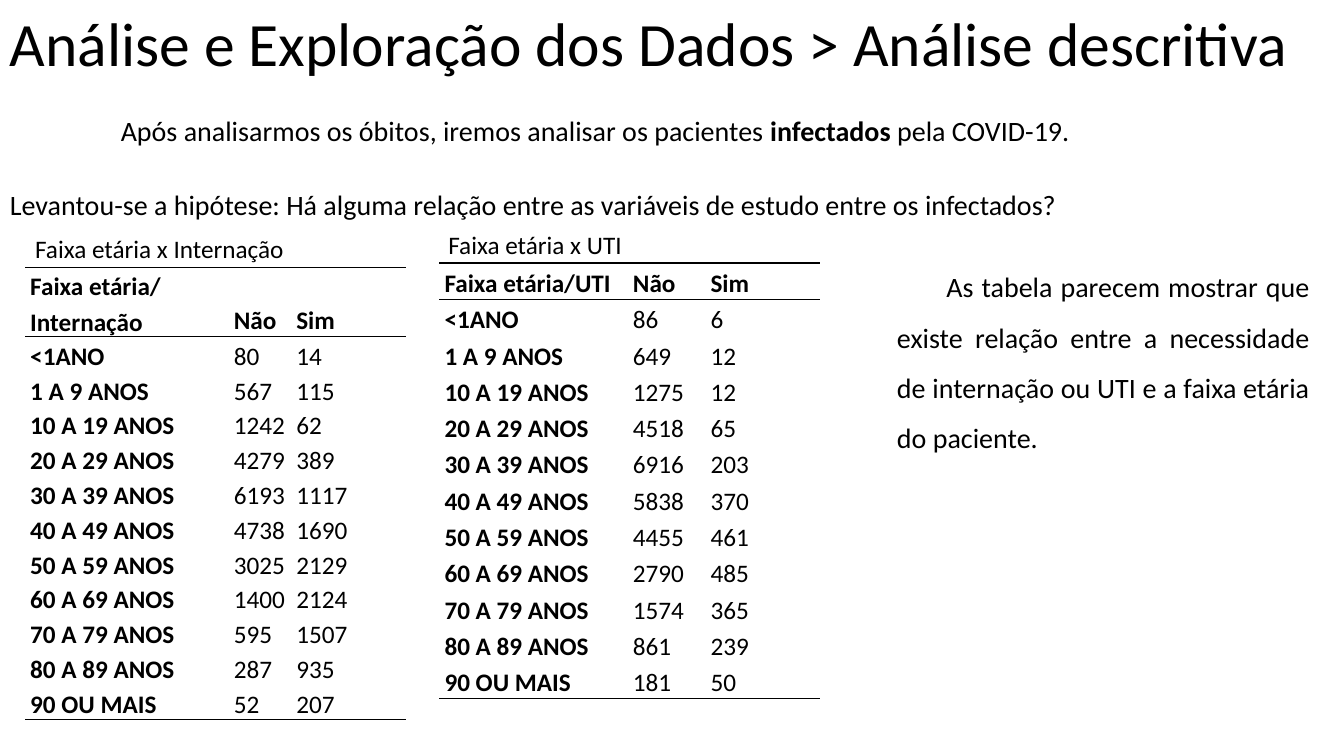
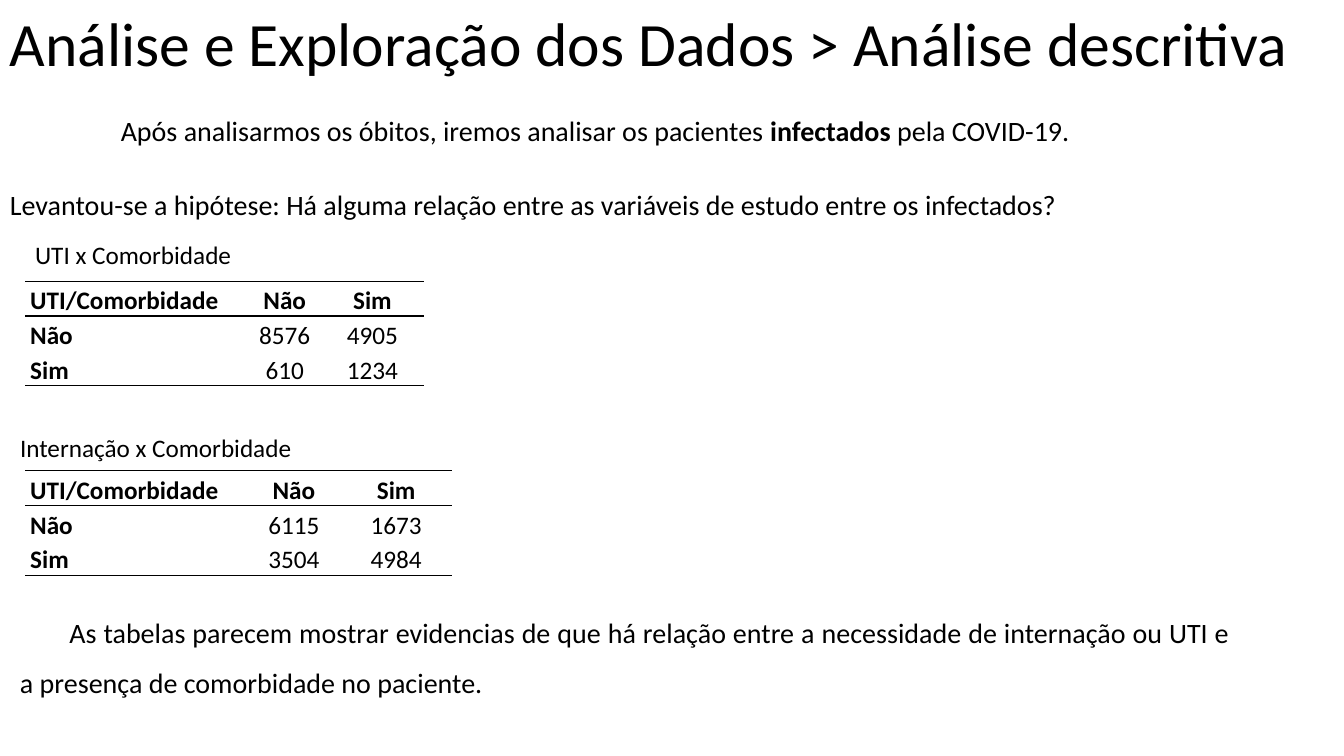
"""Two slides of cross tables on infected patients."""
from lxml.etree import SubElement as Sub
from pptx import Presentation
from pptx.dml.color import RGBColor as Color
from pptx.enum.text import MSO_ANCHOR as Anchor, PP_ALIGN as Align
from pptx.oxml.ns import qn
from pptx.util import Inches, Pt

BLACK = Color(0x00, 0x00, 0x00)
FONT = "Calibri"
GRID = Inches(0.1)
WIDE, HIGH = 133.33, 75
PLAIN = "{2D5ABB26-0587-4C30-8999-92F81FD0307C}"
AGES = ["<1ANO", *(f"{n or 1} A {n + 9} ANOS" for n in range(0, 90, 10)), "90 OU MAIS"]


def cells(count):
    return round(count * GRID)


def write(para, runs, size, align=None, lead=None, after=None, dent=0):
    para.alignment = align
    if lead:
        para.line_spacing = lead
    if after:
        para.space_after = Pt(after)
    if dent:
        para._p.get_or_add_pPr().set("indent", str(cells(dent)))
    for text, bold in runs:
        run = para.add_run()
        run.text = text
        run.font.name = FONT
        run.font.size = Pt(size)
        run.font.bold = bold
        run.font.color.rgb = BLACK


def box(slide, place, runs, size, **style):
    frame = slide.shapes.add_textbox(*map(cells, place)).text_frame
    frame.word_wrap = True
    write(frame.paragraphs[0], runs, size, **style)


def body(slide, place, text, size=20, lead=1.15, dent=0):
    box(slide, place, [(text, False)], size,
        align=Align.JUSTIFY, lead=lead, after=10, dent=dent)


def label(slide, left, top, width, text):
    body(slide, (left, top, width, 4.3), text, size=18)


def rule(cell, sides):
    props = cell._tc.get_or_add_tcPr()
    for spot, side in enumerate(sides):
        line = Sub(props, qn(f"a:ln{side}"), w=str(Pt(1)))
        fill = Sub(line, qn("a:solidFill"))
        Sub(fill, qn("a:srgbClr"), val=str(BLACK))
        props.insert(spot, line)


def fill_cell(cell, text, bold, align, sides):
    cell.margin_left = cell.margin_right = cells(0.5)
    cell.margin_top = cell.margin_bottom = 0
    cell.vertical_anchor = Anchor.BOTTOM
    cell.fill.background()
    write(cell.text_frame.paragraphs[0], [(text, bold)], 18,
          align=align, lead=1.15, after=10)
    rule(cell, sides)


def grid(slide, left, top, widths, height, rows, align=None):
    last = len(rows) - 1
    shape = slide.shapes.add_table(
        len(rows), len(widths), cells(left), cells(top),
        cells(sum(widths)), cells(height * len(rows)))
    table = shape.table
    table.first_row = table.horz_banding = False
    table._tbl.tblPr.find(qn("a:tableStyleId")).text = PLAIN
    for col, width in zip(table.columns, widths):
        col.width = cells(width)
    for r, row in enumerate(rows):
        table.rows[r].height = cells(height)
        sides = "TB" if r == 0 else "B" if r == last else ""
        for c, text in enumerate(row):
            fill_cell(table.cell(r, c), text, r == 0 or c == 0,
                      align if c else None, sides)


def pair(head, names, no, yes):
    return [(head, "Não", "Sim"), *zip(names, no.split(), yes.split())]


def start(deck):
    slide = deck.slides.add_slide(deck.slide_layouts[6])
    box(slide, (0, 0, WIDE, 8.4),
        [("Análise e Exploração dos Dados > Análise descritiva", False)], 44)
    box(slide, (1, 10.8, WIDE - 1, 4.4),
        [("Após analisarmos os óbitos, iremos analisar os pacientes ", False),
         ("infectados", True), (" pela COVID-19.", False)],
        20, align=Align.JUSTIFY, dent=10)
    body(slide, (0, 17.6, 129.6, 4.7),
         "Levantou-se a hipótese: Há alguma relação entre as variáveis "
         "de estudo entre os infectados?")
    return slide


def by_age(deck):
    slide = start(deck)
    body(slide, (88, 24.6, 42.9, 33.6),
         "As tabela parecem mostrar que existe relação entre a necessidade "
         "de internação ou UTI e a faixa etária do paciente.", lead=1.5, dent=4.9)
    label(slide, 2.5, 22.2, 41, "Faixa etária x Internação")
    grid(slide, 2.5, 26.5, (20.2, 6.2, 11.4), 3,
         pair("Faixa etária/ Internação", AGES,
              "80 567 1242 4279 6193 4738 3025 1400 595 287 52",
              "14 115 62 389 1117 1690 2129 2124 1507 935 207"))
    label(slide, 43.5, 21.8, 23.4, "Faixa etária x UTI")
    grid(slide, 43.6, 26.1, (18.7, 7.7, 11.4), 3.6,
         pair("Faixa etária/UTI", AGES,
              "86 649 1275 4518 6916 5838 4455 2790 1574 861 181",
              "6 12 12 65 203 370 461 485 365 239 50"))


def by_illness(deck):
    slide = start(deck)
    body(slide, (1, 58.9, 122, 10.6),
         "As tabelas parecem mostrar evidencias de que há relação entre a "
         "necessidade de internação ou UTI e a presença de comorbidade "
         "no paciente.", lead=1.5, dent=4.9)
    head, names = "UTI/Comorbidade", ("Não", "Sim")
    label(slide, 2.5, 22.8, 25.6, "UTI x Comorbidade")
    grid(slide, 2.5, 27.9, (22.2, 7.1, 10.3), 2,
         pair(head, names, "8576 610", "4905 1234"), Align.CENTER)
    label(slide, 1, 41.9, 34.5, "Internação x Comorbidade")
    grid(slide, 2.5, 46.7, (22, 9.3, 11), 2,
         pair(head, names, "6115 3504", "1673 4984"), Align.CENTER)


def main():
    deck = Presentation()
    deck.slide_width, deck.slide_height = cells(WIDE), cells(HIGH)
    by_age(deck)
    by_illness(deck)
    deck.save("out.pptx")


if __name__ == "__main__":
    main()
